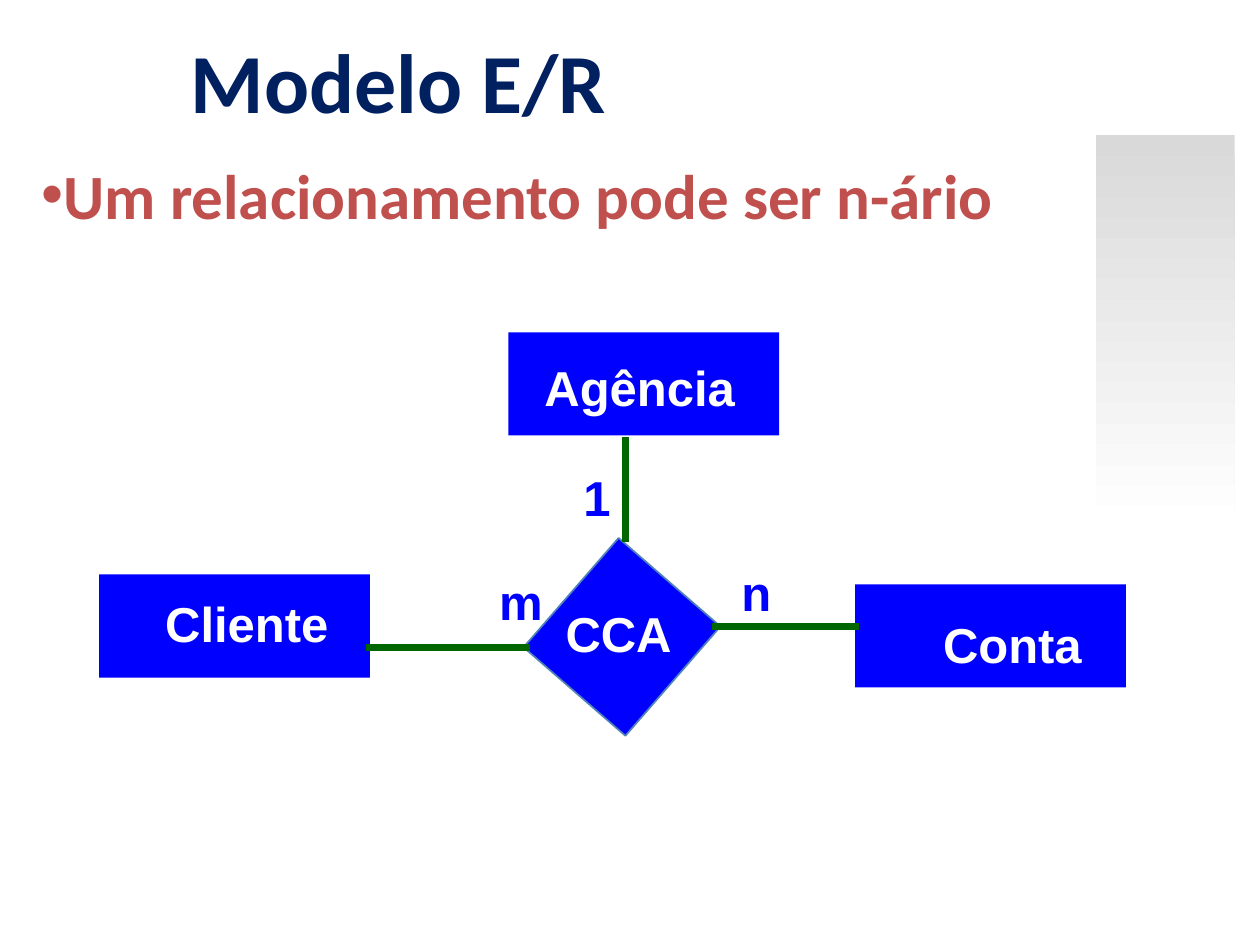
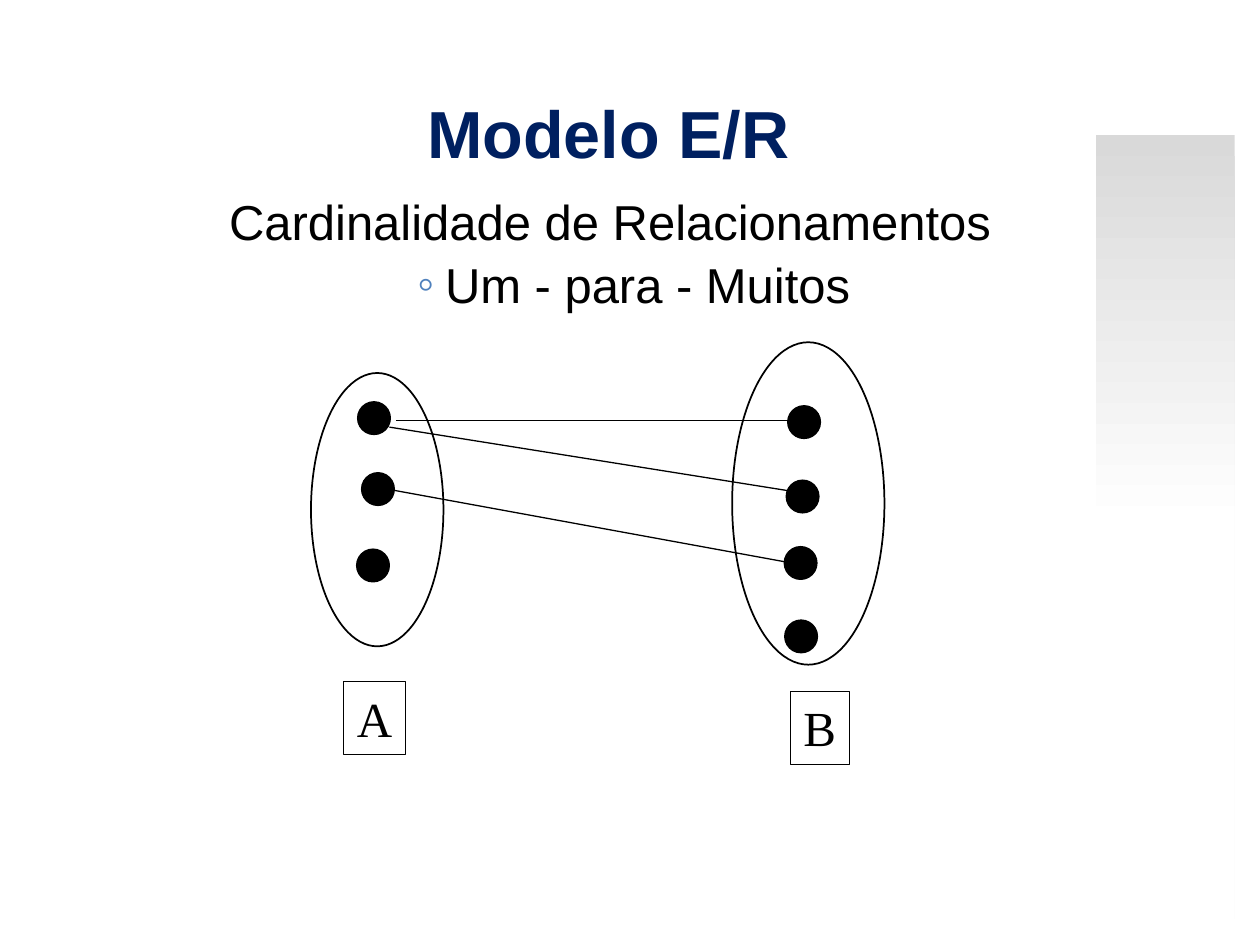
from collections import namedtuple
from dataclasses import dataclass

from lxml.etree import SubElement
from pptx import Presentation
from pptx.dml.color import RGBColor
from pptx.enum.shapes import MSO_CONNECTOR, MSO_SHAPE
from pptx.enum.text import MSO_ANCHOR, MSO_AUTO_SIZE, PP_ALIGN
from pptx.oxml.ns import qn
from pptx.util import Cm, Pt


@dataclass(frozen=True)
class Theme:
    navy: str = "002060"
    red: str = "C0504D"
    entity_blue: str = "0000FF"
    outline_blue: str = "4F81BD"
    link_green: str = "006600"
    black: str = "000000"
    white: str = "FFFFFF"
    band_grey: str = "D9D9D9"
    sans: str = "Arial"
    heading: str = "Calibri"
    serif: str = "Times New Roman"
    large_title: int = 48
    title: int = 38
    statement: int = 36
    body: int = 28
    thin: float = 0.75
    normal: float = 1
    thick: float = 4


THEME = Theme()
WIDE_INSETS = (0.25, 0.13)
NARROW_INSETS = (0.18, 0.1)
TIGHT_INSETS = (0.1, 0.1)


class Box(namedtuple("Box", "left top width height")):
    def inside(self, left, top, width, height):
        return Box(self.left + left, self.top + top, width, height)

    def lengths(self):
        return [Cm(value) for value in self]


def color(value):
    return RGBColor.from_string(value)


def format_paragraph(paragraph, font_name, size, ink, bold=False, align=PP_ALIGN.CENTER):
    paragraph.alignment = align
    for run in paragraph.runs:
        run.font.name = font_name
        run.font.size = Pt(size)
        run.font.bold = bold
        run.font.color.rgb = color(ink)


def set_indent(paragraph, margin, hanging, bullet=None, bullet_color=None):
    properties = paragraph._p.get_or_add_pPr()
    properties.set("marL", str(Cm(margin)))
    properties.set("indent", str(-Cm(hanging)))
    if bullet_color:
        holder = SubElement(properties, qn("a:buClr"))
        SubElement(holder, qn("a:srgbClr")).set("val", bullet_color)
    if bullet:
        SubElement(properties, qn("a:buFont")).set("typeface", THEME.sans)
        SubElement(properties, qn("a:buChar")).set("char", bullet)


def set_frame(shape, insets, wrap=True, anchor=MSO_ANCHOR.TOP):
    frame = shape.text_frame
    frame.margin_left = frame.margin_right = Cm(insets[0])
    frame.margin_top = frame.margin_bottom = Cm(insets[1])
    frame.word_wrap = wrap
    frame.vertical_anchor = anchor
    frame.auto_size = MSO_AUTO_SIZE.NONE if wrap else MSO_AUTO_SIZE.SHAPE_TO_FIT_TEXT
    return frame


def add_text(slide, box, text, font_name, size, ink, bold=False, insets=WIDE_INSETS,
             wrap=True, anchor=MSO_ANCHOR.TOP, align=PP_ALIGN.CENTER):
    shape = slide.shapes.add_textbox(*box.lengths())
    frame = set_frame(shape, insets, wrap, anchor)
    frame.text = text
    for paragraph in frame.paragraphs:
        format_paragraph(paragraph, font_name, size, ink, bold, align)
    return shape


def add_label(slide, box, text, ink):
    return add_text(slide, box, text, THEME.sans, THEME.body, ink, True, NARROW_INSETS, False)


def fill_shape(shape, fill):
    shape.fill.solid()
    shape.fill.fore_color.rgb = color(fill)


def outline_shape(shape, ink, width):
    shape.line.color.rgb = color(ink)
    shape.line.width = Pt(width)


def add_shape(slide, kind, box, fill=None, line=None, width=THEME.normal):
    shape = slide.shapes.add_shape(kind, *box.lengths())
    shape.shadow.inherit = False
    if fill:
        fill_shape(shape, fill)
    else:
        shape.fill.background()
    if line:
        outline_shape(shape, line, width)
    else:
        shape.line.fill.background()
    return shape


def add_line(slide, box, start, end, ink, width):
    points = [Cm(offset + value) for point in (start, end)
              for offset, value in zip(box[:2], point)]
    connector = slide.shapes.add_connector(MSO_CONNECTOR.STRAIGHT, *points)
    outline_shape(connector, ink, width)
    SubElement(connector._element.spPr, qn("a:effectLst"))


def add_side_band(slide, box):
    band = add_shape(slide, MSO_SHAPE.RECTANGLE, box)
    band.fill.gradient()
    band.fill.gradient_angle = 270
    stops = zip(band.fill.gradient_stops, (THEME.band_grey, THEME.white), (0, 0.5))
    for stop, shade, position in stops:
        stop.color.rgb = color(shade)
        stop.position = position


def add_base_slide(presentation):
    slide = presentation.slides.add_slide(presentation.slide_layouts[6])
    add_side_band(slide, Box(22.1, 2.72, 2.79, 15.8))
    return slide


def add_title(slide, box, font_name, size, anchor):
    add_text(slide, box, "Modelo E/R", font_name, size, THEME.navy, True, anchor=anchor)


def add_statement(slide, box):
    shape = add_text(slide, box, "Um relacionamento pode ser n-ário", THEME.heading,
                     THEME.statement, THEME.red, True, TIGHT_INSETS, align=PP_ALIGN.LEFT)
    paragraph = shape.text_frame.paragraphs[0]
    paragraph.space_before = Pt(7.2)
    set_indent(paragraph, 0.44, 0.44, "•")


def add_entity(slide, box, name, label_left, label_top, label_width):
    add_shape(slide, MSO_SHAPE.RECTANGLE, box, THEME.entity_blue)
    label_box = box.inside(label_left, label_top, label_width, 1.4)
    fill_shape(add_label(slide, label_box, name, THEME.white), THEME.entity_blue)


def add_relationship_diagram(slide, box):
    entities = [
        ("Cliente", 0, 4.88, 1.12, 0.28, 3.71),
        ("Conta", 15.24, 5.08, 1.57, 0.51, 3.2),
        ("Agência", 8.25, 0, 0.51, 0.41, 4.27),
    ]
    for name, left, top, *label in entities:
        add_entity(slide, box.inside(left, top, 5.46, 2.08), name, *label)

    relationship = add_shape(slide, MSO_SHAPE.RECTANGLE, box.inside(9.18, 4.68, 2.72, 2.92),
                             THEME.entity_blue, THEME.outline_blue)
    relationship.rotation = 41

    links = [
        ((12.35, 5.92), (15.32, 5.92)),
        ((8.69, 6.36), (5.37, 6.36)),
        ((10.6, 4.22), (10.6, 2.11)),
    ]
    for start, end in links:
        add_line(slide, box, start, end, THEME.link_green, THEME.thick)

    labels = [
        ("m", 7.88, 4.73, 1.24, THEME.entity_blue),
        ("1", 9.58, 2.62, 0.91, THEME.entity_blue),
        ("n", 12.76, 4.53, 0.97, THEME.entity_blue),
        ("CCA", 9.2, 5.37, 2.54, THEME.white),
    ]
    for text, left, top, width, ink in labels:
        add_label(slide, box.inside(left, top, width, 1.4), text, ink)


def add_cardinality_text(slide, box):
    shape = add_text(slide, box, "Cardinalidade de Relacionamentos\nUm - para - Muitos",
                     THEME.sans, THEME.body, THEME.black)
    heading, kind = shape.text_frame.paragraphs
    kind.level = 1
    for paragraph in (heading, kind):
        paragraph.space_before = Pt(2.5)
    set_indent(heading, 0.25, 0.56)
    set_indent(kind, 1.52, 0.56, "◦", THEME.outline_blue)


def add_set(slide, box, name, label_box, dots):
    add_shape(slide, MSO_SHAPE.OVAL, box, line=THEME.black)
    label = add_text(slide, box.inside(*label_box), name, THEME.serif, THEME.body,
                     THEME.black, wrap=False)
    outline_shape(label, THEME.black, THEME.thin)
    for left, top in dots:
        add_shape(slide, MSO_SHAPE.OVAL, box.inside(left, top, 0.66, 0.66),
                  THEME.black, THEME.black, THEME.thin)


def add_mapping_diagram(slide, box):
    add_set(slide, box.inside(0, 0.62, 2.67, 5.51), "A", (0.66, 6.22, 1.24, 1.47),
            [(0.94, 0.58), (1.02, 2.01), (0.92, 3.55)])
    add_set(slide, box.inside(8.49, 0, 3.07, 6.5), "B", (1.17, 7.04, 1.19, 1.47),
            [(1.12, 1.28), (1.09, 2.78), (1.05, 4.12), (1.06, 5.6)])
    pairs = [
        ((1.71, 1.58), (9.86, 1.58)),
        ((1.58, 1.71), (9.86, 3.03)),
        ((1.65, 2.98), (9.58, 4.43)),
    ]
    for start, end in pairs:
        add_line(slide, box, start, end, THEME.black, THEME.thin)


def build_relationship_slide(presentation):
    slide = add_base_slide(presentation)
    add_title(slide, Box(-3.4, 0.46, 22.86, 3.18), THEME.heading, THEME.large_title,
              MSO_ANCHOR.TOP)
    add_statement(slide, Box(0.74, 3.05, 21.59, 1.83))
    add_relationship_diagram(slide, Box(2, 6.7, 20.7, 7.6))


def build_cardinality_slide(presentation):
    slide = add_base_slide(presentation)
    add_title(slide, Box(1.47, 1.07, 21.59, 3.18), THEME.sans, THEME.title,
              MSO_ANCHOR.MIDDLE)
    add_cardinality_text(slide, Box(1.5, 3.73, 21.59, 11.43))
    add_mapping_diagram(slide, Box(6.27, 6.9, 11.56, 8.51))


def main():
    presentation = Presentation()
    presentation.slide_width = Cm(25.4)
    presentation.slide_height = Cm(19.05)
    build_relationship_slide(presentation)
    build_cardinality_slide(presentation)
    presentation.save("out.pptx")


if __name__ == "__main__":
    main()
